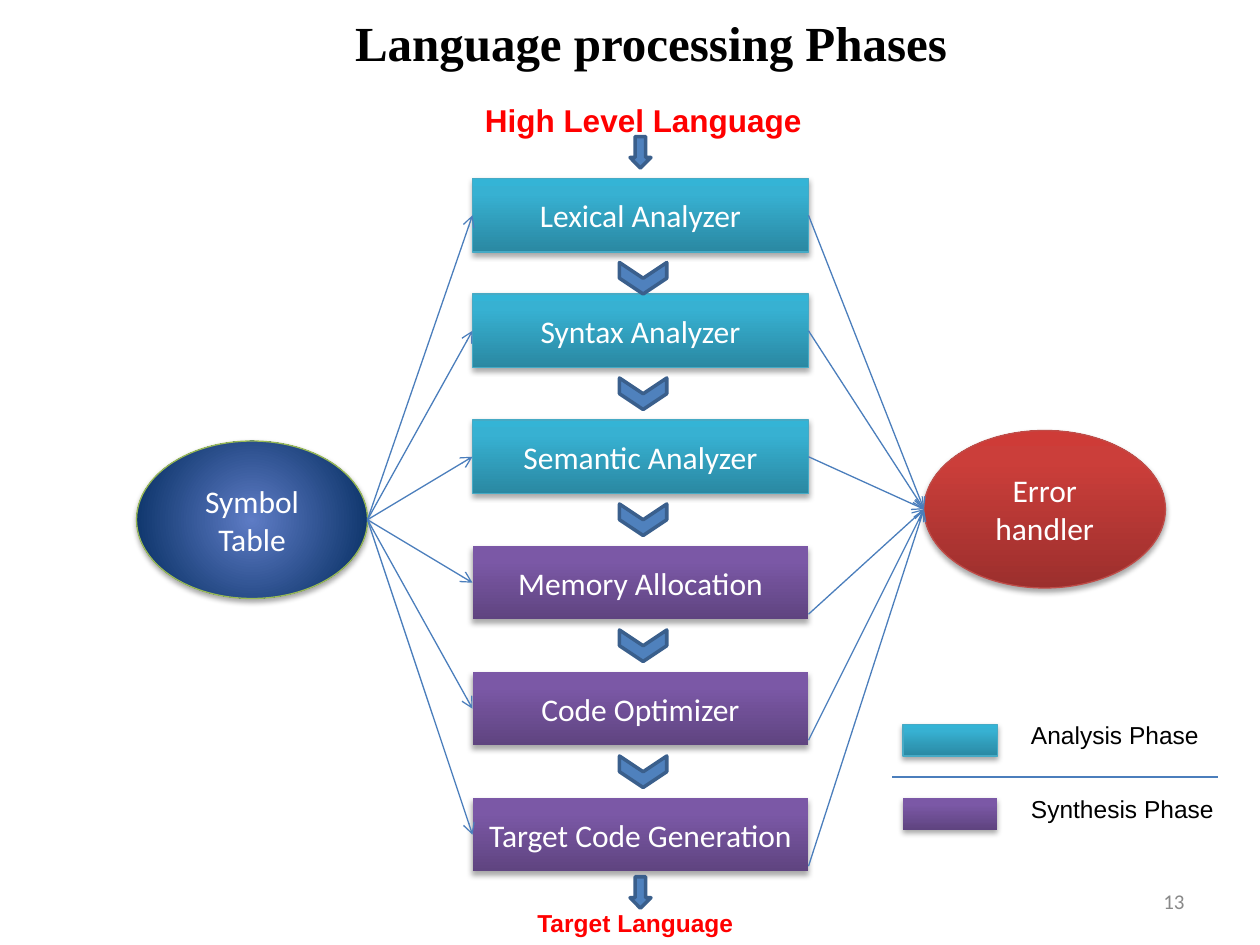
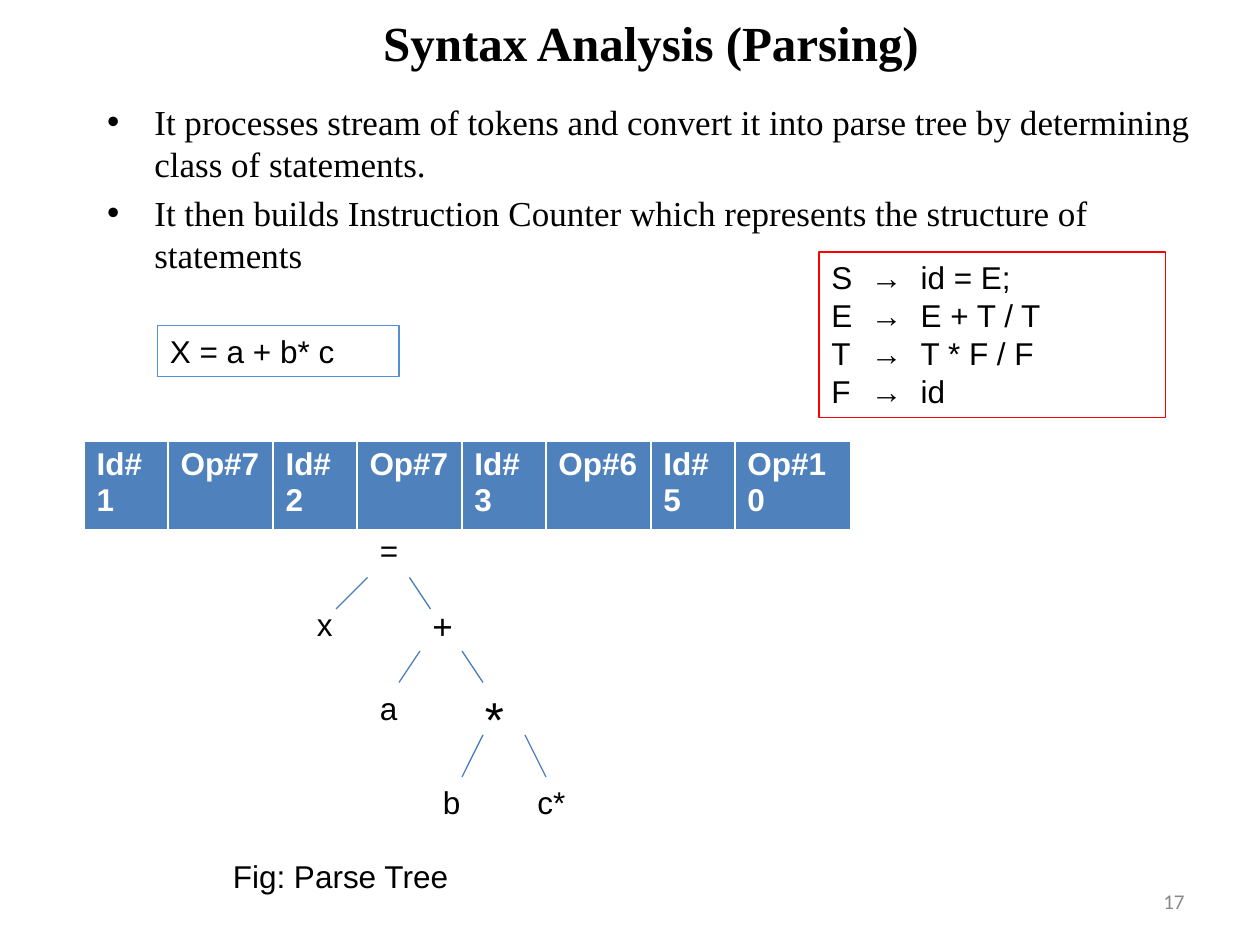
"""Build two slides on language processing phases and syntax analysis."""
import dataclasses

import lxml.etree
import pptx
import pptx.dml.color
import pptx.enum.shapes
import pptx.enum.text
import pptx.oxml.ns
import pptx.util

SHAPE = pptx.enum.shapes.MSO_SHAPE
ALIGN = pptx.enum.text.PP_ALIGN
MIDDLE = pptx.enum.text.MSO_ANCHOR.MIDDLE
qn = pptx.oxml.ns.qn


@dataclasses.dataclass(frozen=True)
class Theme:
    serif: str = "Times New Roman"
    sans: str = "Arial"
    label: str = "Calibri"
    black: str = "000000"
    white: str = "FFFFFF"
    red: str = "FF0000"
    gray: str = "898989"
    blue: str = "4F81BD"
    blue_edge: str = "3A5F8C"
    frame: str = "558ED5"
    link: str = "4B7EBC"
    analysis: tuple = ((0, "2A88A2"), (80, "37B1D2"), (100, "34B4D6"))
    analysis_edge: str = "46AAC5"
    synthesis: tuple = ((0, "5F4480"), (80, "7B58A6"), (100, "7C57A8"))
    symbols: tuple = ((0, "5E7CC5"), (100, "00295C"))
    symbols_edge: str = "98B955"
    errors: tuple = ((0, "9C2F2D"), (80, "CB3E3A"), (100, "CE3B37"))
    errors_edge: str = "BF4C48"
    title_size: int = 28
    list_size: int = 20
    text_size: int = 18
    small_size: int = 14
    number_size: int = 12
    hairline: float = 0.75
    heavy: float = 2


def px(*values):
    return [pptx.util.Emu(v * 9525) for v in values]


def rgb(code):
    return pptx.dml.color.RGBColor.from_string(code)


def node(parent, tag, **attrs):
    return lxml.etree.SubElement(parent, qn(tag), {k: str(v) for k, v in attrs.items()})


class Deck:
    def __init__(self, theme):
        self.t = theme
        self.prs = pptx.Presentation()
        self.prs.slide_width, self.prs.slide_height = px(960, 720)
        self.s = None

    def style(self, tf, size, font, color, bold=False, align=None):
        for p in tf.paragraphs:
            if align is not None:
                p.alignment = align
            for r in p.runs:
                r.font.size = pptx.util.Pt(size)
                r.font.name = font
                r.font.bold = bold
                r.font.color.rgb = rgb(color)

    def outline(self, sp, color, width):
        if color:
            sp.line.color.rgb = rgb(color)
            sp.line.width = pptx.util.Pt(width)
        else:
            sp.line.fill.background()

    def place(self, sp, box):
        sp.left, sp.top, sp.width, sp.height = px(*box)

    def slide(self, layout, title, number):
        self.s = self.prs.slides.add_slide(self.prs.slide_layouts[layout])
        sp = self.s.shapes.title
        self.place(sp, (64, 0, 864, 64))
        sp.text_frame.text = title
        self.style(sp.text_frame, self.t.title_size, self.t.serif, self.t.black, True)
        sp = self.text((688, 667, 224, 39), number, self.t.number_size,
                       self.t.gray, font=self.t.label, align=ALIGN.RIGHT)
        sp.text_frame.vertical_anchor = MIDDLE

    def bullets(self, box, items):
        sp = self.s.placeholders[1]
        self.place(sp, box)
        sp.text_frame.text = "\n".join(items)
        self.style(sp.text_frame, self.t.list_size, self.t.serif, self.t.black)

    def text(self, box, text, size=None, color=None, bold=False, font=None,
             align=None, edge=None, tabs=()):
        sp = self.s.shapes.add_textbox(*px(*box))
        tf = sp.text_frame
        tf.word_wrap = True
        tf.text = text
        self.style(tf, size or self.t.text_size, font or self.t.sans,
                   color or self.t.black, bold, align)
        if edge:
            self.outline(sp, edge, self.t.hairline)
        if tabs:
            for p in tf.paragraphs:
                stops = node(p._p.get_or_add_pPr(), "a:tabLst")
                for pos in px(*tabs):
                    node(stops, "a:tab", pos=pos, algn="l")
        return sp

    def gradient(self, sp, stops, radial):
        sp.fill.gradient()
        grad = sp._element.spPr.find(qn("a:gradFill"))
        for child in list(grad):
            grad.remove(child)
        gs_list = node(grad, "a:gsLst")
        for pos, color in stops:
            node(node(gs_list, "a:gs", pos=pos * 1000), "a:srgbClr", val=color)
        if radial:
            circle = node(grad, "a:path", path="circle")
            node(circle, "a:fillToRect", l=50000, t=50000, r=50000, b=50000)
        else:
            node(grad, "a:lin", ang=16200000, scaled=0)

    def panel(self, kind, box, stops, edge=None, text="", radial=False):
        sp = self.s.shapes.add_shape(kind, *px(*box))
        self.gradient(sp, stops, radial)
        self.outline(sp, edge, self.t.hairline)
        sp.shadow.inherit = False
        shadow = node(sp._element.spPr.find(qn("a:effectLst")), "a:outerShdw",
                      blurRad=40000, dist=23000, dir=5400000, rotWithShape=0)
        node(node(shadow, "a:srgbClr", val=self.t.black), "a:alpha", val=35000)
        if text:
            sp.text_frame.text = text
            sp.text_frame.vertical_anchor = MIDDLE
            self.style(sp.text_frame, self.t.text_size, self.t.label,
                       self.t.white, align=ALIGN.CENTER)

    def marker(self, kind, box, rotation=0):
        sp = self.s.shapes.add_shape(kind, *px(*box))
        sp.rotation = rotation
        sp.fill.solid()
        sp.fill.fore_color.rgb = rgb(self.t.blue)
        self.outline(sp, self.t.blue_edge, self.t.heavy)
        sp.shadow.inherit = False

    def line(self, start, end, arrow=False):
        kind = pptx.enum.shapes.MSO_CONNECTOR.STRAIGHT
        sp = self.s.shapes.add_connector(kind, *px(*start, *end))
        self.outline(sp, self.t.link, self.t.hairline)
        sp_pr = sp._element.spPr
        if arrow:
            node(sp_pr.find(qn("a:ln")), "a:tailEnd", type="arrow")
        node(sp_pr, "a:effectLst")

    def table(self, left, top, height, widths, labels):
        frame = self.s.shapes.add_table(1, len(labels), *px(left, top, sum(widths), height))
        table = frame.table
        for col, width, cell, label in zip(table.columns, px(*widths),
                                           table.rows[0].cells, labels):
            col.width = width
            cell.fill.solid()
            cell.fill.fore_color.rgb = rgb(self.t.blue)
            cell.text_frame.text = label
            self.style(cell.text_frame, self.t.text_size, self.t.sans, self.t.white, True)


def phases_slide(d):
    t = d.t
    d.slide(5, "Language processing Phases", "13")
    analysis, synthesis = (t.analysis, t.analysis_edge), (t.synthesis, None)
    phases = [
        ("Lexical Analyzer", 136, analysis),
        ("Syntax Analyzer", 224, analysis),
        ("Semantic Analyzer", 320, analysis),
        ("Memory Allocation", 416, synthesis),
        ("Code Optimizer", 512, synthesis),
        ("Target Code Generation", 608, synthesis),
    ]
    left, width, height = 360, 256, 56
    for name, top, look in phases:
        d.panel(SHAPE.FLOWCHART_PROCESS, (left, top, width, height), *look, name)
    d.text((360, 72, 264, 38), "High Level Language", color=t.red, bold=True)
    d.panel(SHAPE.FLOWCHART_CONNECTOR, (104, 336, 176, 120), t.symbols,
            t.symbols_edge, "Symbol Table", radial=True)
    d.panel(SHAPE.FLOWCHART_CONNECTOR, (704, 328, 184, 120), t.errors,
            t.errors_edge, "Error handler")
    for name, top, look in phases[:-1]:
        d.marker(SHAPE.CHEVRON, (478, top + height + 2, 24, 36), 90)
    for name, top, look in phases:
        middle = top + height // 2
        exit_y = middle if look is analysis else top + 52
        d.line((280, 396), (left, middle), arrow=True)
        d.line((left + width, exit_y), (704, 388), arrow=True)
    for label, top, look in (("Analysis Phase", 544, analysis),
                             ("Synthesis Phase", 600, synthesis)):
        d.panel(SHAPE.FLOWCHART_PROCESS, (688, top + 8, 72, 24), *look)
        d.text((776, top, 160, 33), label, t.small_size)
    d.line((680, 592), (928, 592))
    d.text((400, 687, 200, 33), "Target Language", t.small_size, t.red, True)
    for top in (104, 668):
        d.marker(SHAPE.DOWN_ARROW, (480, top, 16, 24))


def parsing_slide(d):
    t = d.t
    d.slide(1, "Syntax Analysis (Parsing)", "17")
    d.bullets((72, 72, 864, 160), [
        "It processes stream of tokens and convert it into parse tree by "
        "determining class of statements.",
        "It then builds Instruction Counter which represents the structure of statements",
    ])
    rules = ["S\t→\tid = E;", "E\t→\tE + T / T", "T\t→\tT * F / F", "F\t→\tid"]
    d.text((624, 192, 264, 126), "\n".join(rules), edge=t.red, tabs=(30, 68))
    d.text((120, 248, 184, 39), "X = a + b* c", edge=t.frame)
    tree = [
        ("=", 280, 400, t.text_size),
        ("x", 232, 456, t.text_size),
        ("+", 320, 456, t.list_size),
        ("a", 280, 520, t.text_size),
        ("*", 360, 520, t.title_size),
        ("b", 328, 592, t.text_size),
        ("c*", 400, 592, t.text_size),
    ]
    for symbol, left, top, size in tree:
        d.text((left, top, 48, 40), symbol, size)
    branches = [
        ((280, 440), (256, 464)), ((312, 440), (328, 464)),
        ((320, 496), (304, 520)), ((352, 496), (368, 520)),
        ((368, 560), (352, 592)), ((400, 560), (416, 592)),
    ]
    for start, end in branches:
        d.line(start, end)
    d.table(64, 336, 39, [64, 80] * 3 + [64, 88],
            ["Id#1", "Op#7", "Id#2", "Op#7", "Id#3", "Op#6", "Id#5", "Op#10"])
    d.text((168, 648, 288, 40), "Fig: Parse Tree")


def main():
    d = Deck(Theme())
    phases_slide(d)
    parsing_slide(d)
    d.prs.save("out.pptx")


if __name__ == "__main__":
    main()
